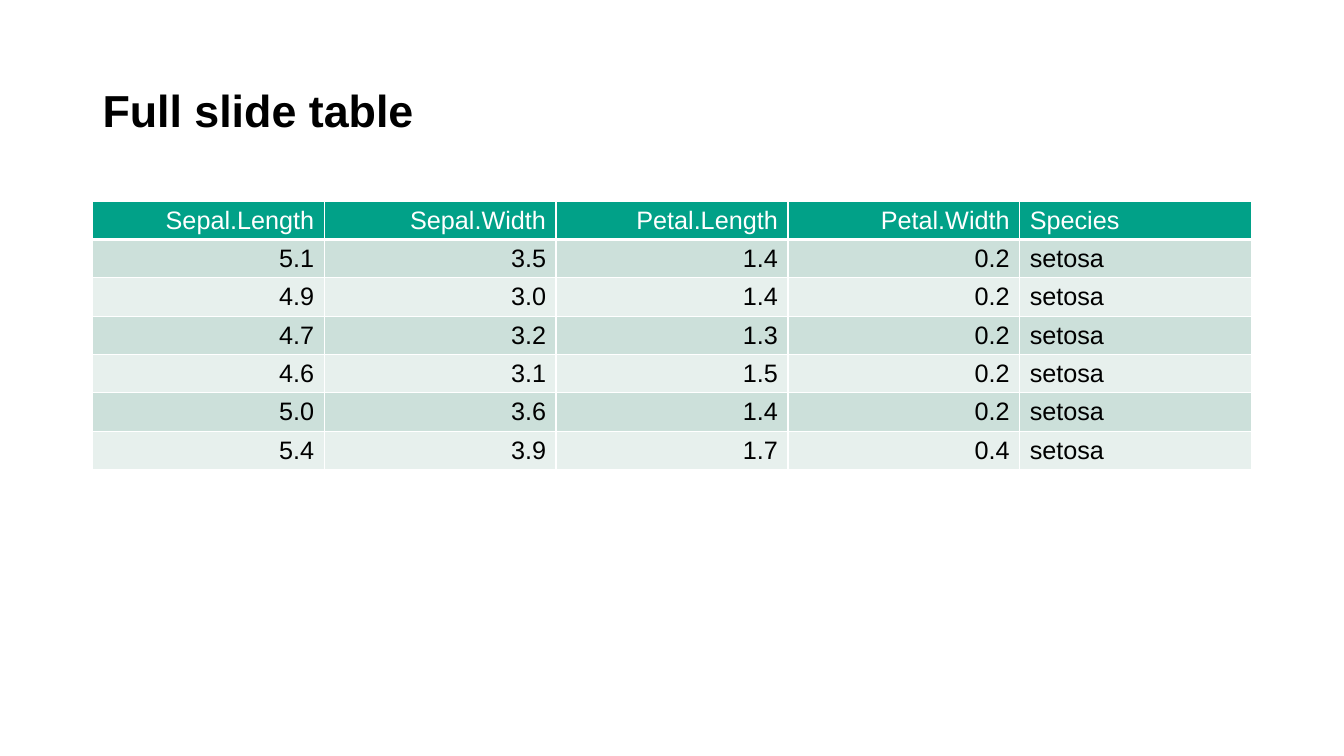
import pptx
import pptx.util
import pptx.dml.color
import pptx.enum.text
import pptx.oxml
import pptx.oxml.ns

Cm, Pt = pptx.util.Cm, pptx.util.Pt
ALIGN = pptx.enum.text.PP_ALIGN
MIDDLE = pptx.enum.text.MSO_ANCHOR.MIDDLE

HEADS = ["Sepal.Length", "Sepal.Width", "Petal.Length", "Petal.Width", "Species"]
IRIS = [
    (5.1, 3.5, 1.4, 0.2, "setosa"),
    (4.9, 3.0, 1.4, 0.2, "setosa"),
    (4.7, 3.2, 1.3, 0.2, "setosa"),
    (4.6, 3.1, 1.5, 0.2, "setosa"),
    (5.0, 3.6, 1.4, 0.2, "setosa"),
    (5.4, 3.9, 1.7, 0.4, "setosa"),
]


def color(code):
    """Turn a hex string into a colour."""
    return pptx.dml.color.RGBColor.from_string(code)


def assign(item, values):
    """Set each named attribute of an item."""
    for name, value in values.items():
        setattr(item, name, value)


def border(cell, code, widths):
    """Draw the sides of a cell, with widths in points."""
    props = cell._tc.get_or_add_tcPr()
    for side, width in widths.items():
        props.append(pptx.oxml.parse_xml(
            f'<a:ln{side} {pptx.oxml.ns.nsdecls("a")} w="{Pt(width)}">'
            f'<a:solidFill><a:srgbClr val="{code}"/></a:solidFill></a:ln{side}>'))


class Deck:
    """Hold the style and the current slide."""

    font = "Arial"
    ink, paper = "000000", "FFFFFF"
    head, bands = "01A188", ("CCE0DA", "E7F0ED")

    def __init__(self, width, height):
        """Start a deck with one title slide."""
        self.show = pptx.Presentation()
        assign(self.show, {"slide_width": width, "slide_height": height})
        self.slide = self.show.slides.add_slide(self.show.slide_layouts[5])

    def label(self, frame, text, size, code, align, bold=False):
        """Put one styled line in a text frame."""
        frame.text = text
        line = frame.paragraphs[0]
        line.alignment = align
        assign(line.runs[0].font, {"name": self.font, "size": Pt(size), "bold": bold})
        line.runs[0].font.color.rgb = color(code)
        return line

    def title(self, text, box):
        """Place and fill the title."""
        shape = self.slide.shapes.title
        assign(shape, dict(zip(("left", "top", "width", "height"), box)))
        assign(shape.text_frame, {"vertical_anchor": MIDDLE, "word_wrap": True})
        line = self.label(shape.text_frame, text, 32, self.ink, ALIGN.LEFT, True)
        line.line_spacing = 0.9

    def table(self, heads, data, left, top, width, step):
        """Add a banded table with numbers set to the right."""
        rows = [heads, *data]
        grid = self.slide.shapes.add_table(
            len(rows), len(heads), left, top, width, step * len(rows)).table
        for r, row in enumerate(rows):
            first = r == 0
            fill = self.head if first else self.bands[(r - 1) % 2]
            ink = self.paper if first else self.ink
            for c, value in enumerate(row):
                cell = grid.cell(r, c)
                align = ALIGN.LEFT if isinstance(data[0][c], str) else ALIGN.RIGHT
                self.label(cell.text_frame, str(value), 18, ink, align)
                border(cell, self.paper, {"L": 1, "R": 1, "T": 1, "B": 3 if first else 1})
                cell.fill.solid()
                cell.fill.fore_color.rgb = color(fill)


deck = Deck(Cm(33.87), Cm(19.05))
deck.title("Full slide table", (Cm(2.33), Cm(1.01), Cm(29.21), Cm(3.68)))
deck.table(HEADS, IRIS, Cm(2.33), Cm(5.07), Cm(29.21), Cm(0.96))
deck.show.save("out.pptx")
